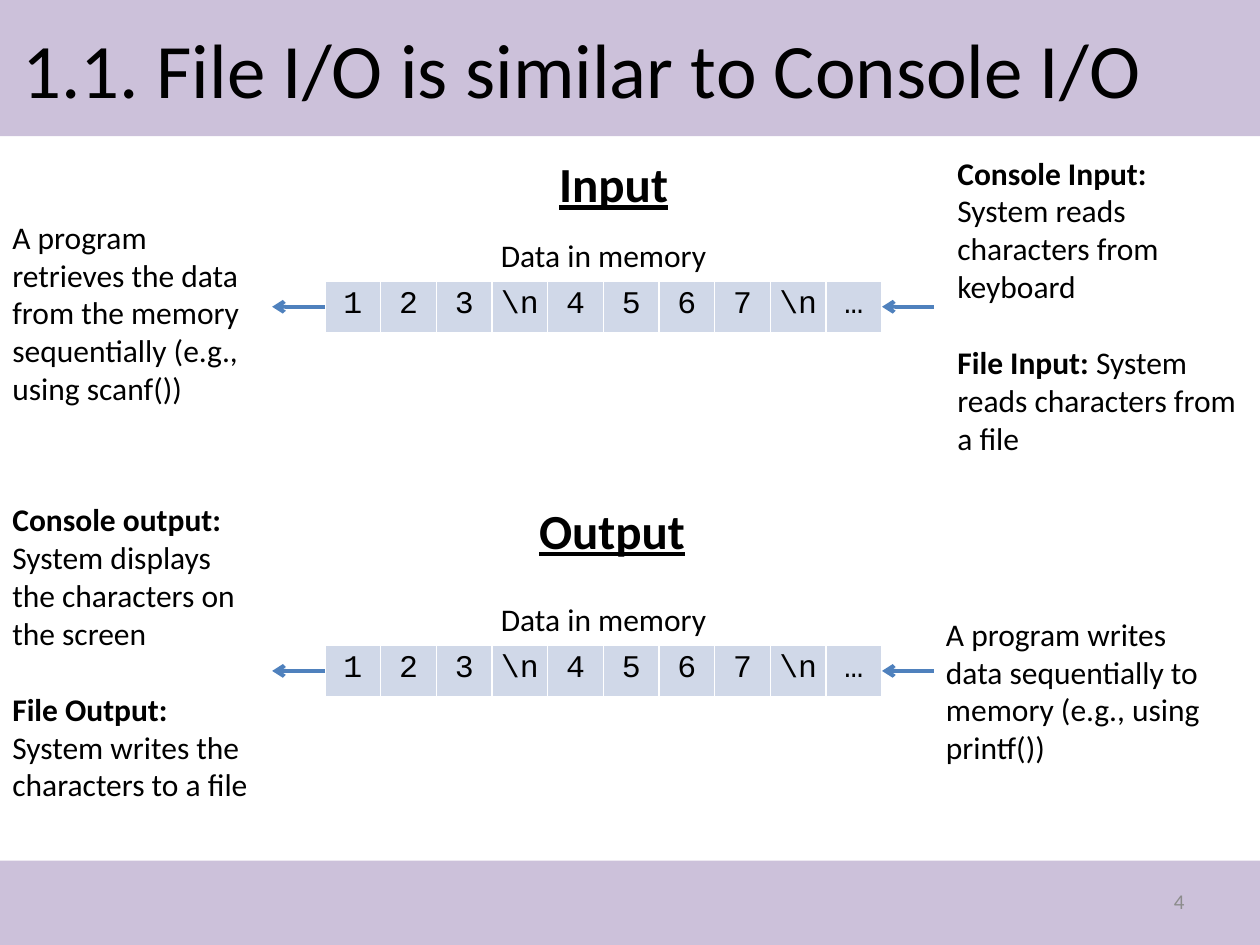
import pptx
import pptx.dml.color
import pptx.enum.shapes
import pptx.enum.text
import pptx.oxml
import pptx.oxml.ns
import pptx.util
from lxml import etree

Inches = pptx.util.Inches
Pt = pptx.util.Pt
RGBColor = pptx.dml.color.RGBColor
ALIGN = pptx.enum.text.PP_ALIGN
ANCHOR = pptx.enum.text.MSO_ANCHOR
qn = pptx.oxml.ns.qn

BAND = RGBColor(0xCC, 0xC1, 0xDA)
BLACK = RGBColor(0, 0, 0)
GREY = RGBColor(0x8C, 0x8C, 0x8C)
CELL = RGBColor(0xD0, 0xD8, 0xE8)
ARROW = RGBColor(0x4F, 0x81, 0xBD)

MEMORY = ["1", "2", "3", "\\n", "4", "5", "6", "7", "\\n", "…"]
ROW_HEIGHT = 0.41


def write(frame, paragraphs, size=18, font="Calibri", color=BLACK, bold=False,
          underline=False, align=ALIGN.LEFT, anchor=ANCHOR.TOP, gap=0):
    """Fill a text frame; each paragraph is a string or a (bold lead, rest) pair."""
    frame.word_wrap = True
    frame.vertical_anchor = anchor
    for index, content in enumerate(paragraphs):
        paragraph = frame.paragraphs[0] if index == 0 else frame.add_paragraph()
        paragraph.alignment = align
        if index:
            paragraph.space_before = Pt(gap)
        if isinstance(content, str):
            runs = [(content, bold)]
        else:
            runs = [(content[0], True), (content[1], False)]
        for text, is_bold in runs:
            run = paragraph.add_run()
            run.text = text
            run.font.size = Pt(size)
            run.font.name = font
            run.font.color.rgb = color
            run.font.bold = is_bold
            run.font.underline = underline


def add_text(slide, box, paragraphs, **text_format):
    label = slide.shapes.add_textbox(*map(Inches, box))
    write(label.text_frame, paragraphs, **text_format)


def add_band(slide, box):
    band = slide.shapes.add_shape(
        pptx.enum.shapes.MSO_SHAPE.RECTANGLE, *map(Inches, box))
    band.shadow.inherit = False
    band.fill.solid()
    band.fill.fore_color.rgb = BAND
    band.line.fill.background()


def add_left_arrow(slide, start, end, y):
    arrow = slide.shapes.add_connector(
        pptx.enum.shapes.MSO_CONNECTOR.STRAIGHT,
        Inches(start), Inches(y), Inches(end), Inches(y))
    arrow.line.color.rgb = ARROW
    arrow.line.width = Pt(2.25)
    etree.SubElement(arrow.line._get_or_add_ln(), qn("a:tailEnd"), type="arrow")
    etree.SubElement(arrow._element.spPr, qn("a:effectLst"))


def add_cell_borders(cell):
    properties = cell._tc.get_or_add_tcPr()
    for side in ("lnL", "lnR", "lnT", "lnB"):
        properties.append(pptx.oxml.parse_xml(
            f'<a:{side} {pptx.oxml.ns.nsdecls("a")} w="12700"><a:solidFill>'
            f'<a:srgbClr val="FFFFFF"/></a:solidFill></a:{side}>'))


def add_memory(slide, left, top, width):
    """Row of characters in memory, with its caption and the arrows in and out."""
    memory = slide.shapes.add_table(
        1, len(MEMORY), Inches(left), Inches(top), Inches(width),
        Inches(ROW_HEIGHT)).table
    memory.first_row = False
    memory.horz_banding = False
    for index, character in enumerate(MEMORY):
        memory.columns[index].width = Inches(width / len(MEMORY))
        cell = memory.cell(0, index)
        cell.margin_left = cell.margin_right = Inches(0.05)
        cell.margin_top = cell.margin_bottom = Inches(0.05)
        add_cell_borders(cell)
        cell.fill.solid()
        cell.fill.fore_color.rgb = CELL
        write(cell.text_frame, [character], font="Courier New", align=ALIGN.CENTER)

    add_text(slide, (left, top - 0.41, width, 0.42), ["Data in memory"],
             align=ALIGN.CENTER)
    middle = top + ROW_HEIGHT / 2
    add_left_arrow(slide, left, left - 0.42, middle)
    add_left_arrow(slide, left + width + 0.41, left + width, middle)


def add_section(slide, top, memory_top, heading, heading_left, heading_width, notes):
    """Heading, memory row, and the notes at its sides."""
    add_text(slide, (heading_left, top, heading_width, 0.58), [heading],
             size=28, bold=True, underline=True)
    add_memory(slide, 2.58, memory_top, 4.42)
    for box, paragraphs in notes:
        add_text(slide, box, paragraphs, gap=22)


def add_frame(slide, width, height, title, number):
    """Coloured bands with the title and the slide number."""
    add_band(slide, (0, 0, width, 1.08))
    add_band(slide, (0, height - 0.67, width, 0.67))
    add_text(slide, (0.08, 0.08, width - 0.16, 0.92), [title], size=44,
             anchor=ANCHOR.MIDDLE)
    add_text(slide, (7.17, height - 0.55, 2.33, 0.4), [number], size=12,
             color=GREY, align=ALIGN.RIGHT, anchor=ANCHOR.MIDDLE)


def main():
    deck = pptx.Presentation()
    deck.slide_width, deck.slide_height = Inches(10), Inches(7.5)
    slide = deck.slides.add_slide(deck.slide_layouts[6])

    add_frame(slide, 10, 7.5, "1.1. File I/O is similar to Console I/O", "4")

    # Input: from keyboard or file, through memory, to the program
    add_section(slide, 1.17, 2.23, "Input", 4.34, 1.17, [
        ((0, 1.68, 2.15, 1.5),
         ["A program retrieves the data from the memory sequentially "
          "(e.g., using scanf())"]),
        ((7.5, 1.17, 2.42, 2.42),
         [("Console Input:", " System reads characters from keyboard"),
          ("File Input:", " System reads characters from a file")]),
    ])

    # Output: from the program, through memory, to screen or file
    add_section(slide, 3.92, 5.12, "Output", 4.18, 1.49, [
        ((0, 3.92, 2.16, 2.75),
         [("Console output:", " System displays the characters on the screen"),
          ("File Output:", " System writes the characters to a file")]),
        ((7.41, 4.83, 2.34, 1.42),
         ["A program writes data sequentially to memory (e.g., using printf())"]),
    ])

    deck.save("out.pptx")


if __name__ == "__main__":
    main()
